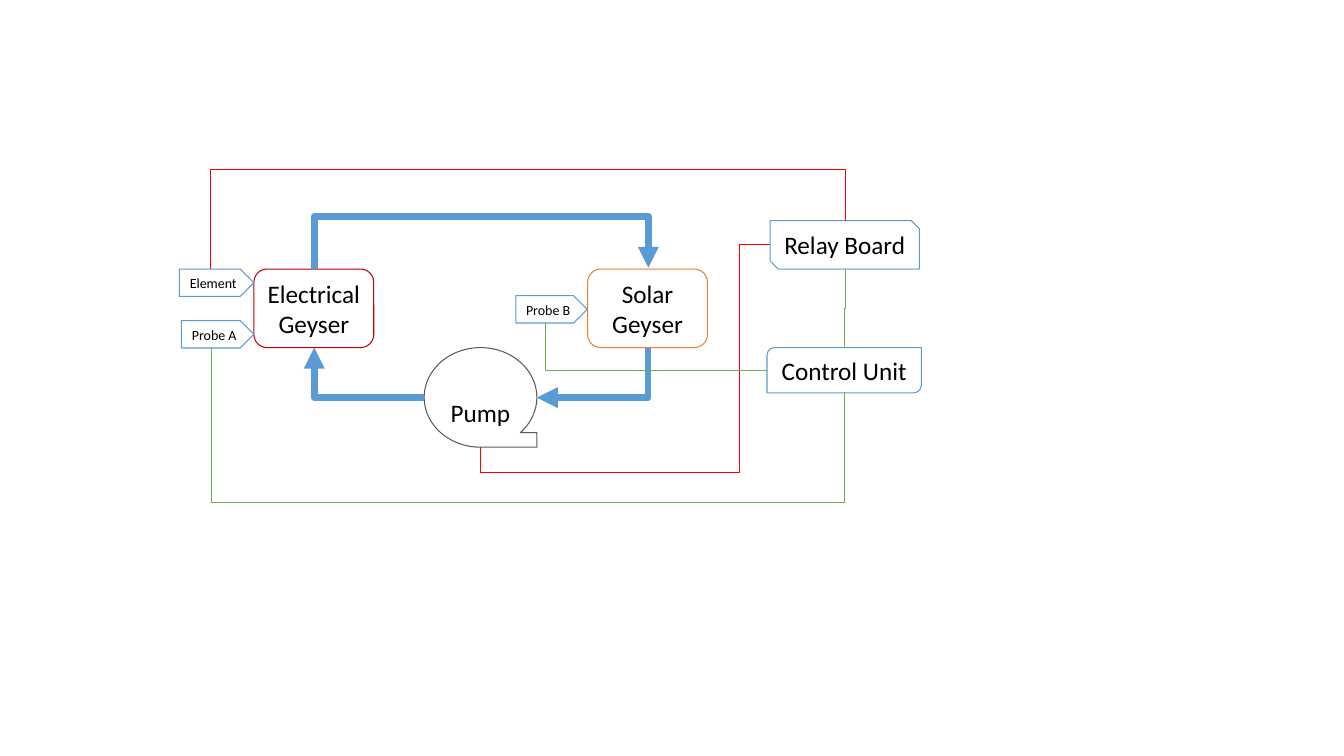
from dataclasses import dataclass

from lxml.etree import SubElement
from pptx import Presentation
from pptx.dml.color import RGBColor
from pptx.enum.shapes import MSO_CONNECTOR, MSO_SHAPE
from pptx.enum.text import MSO_ANCHOR, PP_ALIGN
from pptx.oxml.ns import qn
from pptx.util import Cm, Pt

Point = tuple[float, float]

BLUE, GREEN, RED = "5B9BD5", "70AD47", "FF0000"
FONT = "Calibri"


@dataclass
class Component:
    text: str
    geometry: MSO_SHAPE
    left: float
    top: float
    width: float
    height: float
    outline: str = BLUE
    size: int = 18
    wrap: bool = False
    text_drop: float = 0


@dataclass
class Route:
    points: list[Point]
    color: str
    weight: float = 0.5
    arrow: bool = False


def color_of(hex_color: str) -> RGBColor:
    return RGBColor.from_string(hex_color)


def draw_component(slide, part: Component) -> None:
    box = slide.shapes.add_shape(part.geometry, Cm(part.left), Cm(part.top),
                                 Cm(part.width), Cm(part.height))
    box.shadow.inherit = False
    box.fill.background()
    box.line.color.rgb = color_of(part.outline)
    box.line.width = Pt(0.75)
    frame = box.text_frame
    frame.text = part.text
    frame.word_wrap = part.wrap
    frame.vertical_anchor = MSO_ANCHOR.MIDDLE
    frame.margin_top = Cm(0.13 + part.text_drop)
    label = frame.paragraphs[0]
    label.alignment = PP_ALIGN.CENTER
    label.font.name = FONT
    label.font.size = Pt(part.size)
    label.font.color.rgb = color_of("000000")


def draw_route(slide, route: Route) -> None:
    (x1, y1), *bends, (x2, y2) = route.points
    vertical_start = bends[0][0] == x1

    def unrotate(dx: float, dy: float) -> Point:
        return (dy, -dx) if vertical_start else (-dx, -dy)

    span = unrotate(x2 - x1, y2 - y1)
    mid_x, mid_y = (x1 + x2) / 2, (y1 + y2) / 2
    line = slide.shapes.add_connector(
        MSO_CONNECTOR.ELBOW,
        Cm(mid_x - span[0] / 2), Cm(mid_y - span[1] / 2),
        Cm(mid_x + span[0] / 2), Cm(mid_y + span[1] / 2))
    line.line.color.rgb = color_of(route.color)
    line.line.width = Pt(route.weight)

    properties = line._element.spPr
    properties.find(qn("a:xfrm")).set("rot", "5400000" if vertical_start else "10800000")
    geometry = properties.find(qn("a:prstGeom"))
    geometry.set("prst", f"bentConnector{len(bends) + 1}")
    adjustments = geometry.find(qn("a:avLst"))
    for index, (x, y) in enumerate(bends[:-1]):
        axis = index % 2
        ratio = unrotate(x - x1, y - y1)[axis] / span[axis]
        SubElement(adjustments, qn("a:gd"), name=f"adj{index + 1}",
                   fmla=f"val {round(ratio * 100000)}")
    if route.arrow:
        SubElement(properties.find(qn("a:ln")), qn("a:tailEnd"), type="triangle")
    SubElement(properties, qn("a:effectLst"))


COMPONENTS = [
    Component("Electrical\vGeyser", MSO_SHAPE.ROUNDED_RECTANGLE,
              6.4, 6.78, 3.02, 1.98, "C00000"),
    Component("Solar\vGeyser", MSO_SHAPE.ROUNDED_RECTANGLE,
              14.81, 6.78, 3.02, 1.98, "ED7D31", wrap=True),
    Component("Pump", MSO_SHAPE.FLOWCHART_SEQUENTIAL_ACCESS_STORAGE,
              10.69, 8.76, 2.84, 2.51, "595959", text_drop=0.76),
    Component("Probe B", MSO_SHAPE.PENTAGON, 13, 7.45, 1.8, 0.69, size=10),
    Component("Element", MSO_SHAPE.PENTAGON, 4.52, 6.78, 1.88, 0.69, size=10),
    Component("Probe A", MSO_SHAPE.PENTAGON, 4.57, 8.08, 1.83, 0.69, size=10),
    Component("Control Unit", MSO_SHAPE.ROUND_2_DIAG_RECTANGLE, 19.33, 8.76, 3.89, 1.14),
    Component("Relay Board", MSO_SHAPE.SNIP_2_DIAG_RECTANGLE, 19.41, 5.56, 3.76, 1.22),
]

WATER_PIPES = [
    Route([(16.33, 8.76), (16.33, 10.02), (13.53, 10.02)], BLUE, 5, True),
    Route([(10.69, 10.02), (7.92, 10.02), (7.92, 8.76)], BLUE, 5, True),
    Route([(7.92, 6.78), (7.92, 5.46), (16.34, 5.46), (16.34, 6.75)], BLUE, 5, True),
]

WIRES = [
    Route([(5.29, 6.78), (5.29, 4.27), (21.3, 4.27), (21.3, 5.56)], RED),
    Route([(21.28, 9.89), (21.28, 12.65), (5.32, 12.65), (5.32, 8.76)], GREEN),
    Route([(19.41, 6.17), (18.64, 6.17), (18.64, 11.91), (12.11, 11.91), (12.11, 11.27)], RED),
    Route([(19.33, 9.33), (13.75, 9.33), (13.75, 8.14)], GREEN),
    Route([(21.3, 6.78), (21.3, 7.77), (21.28, 7.77), (21.28, 8.76)], GREEN),
]

presentation = Presentation()
presentation.slide_width, presentation.slide_height = Cm(33.87), Cm(19.05)
diagram = presentation.slides.add_slide(presentation.slide_layouts[6])
for component in COMPONENTS:
    draw_component(diagram, component)
for connection in WATER_PIPES + WIRES:
    draw_route(diagram, connection)
presentation.save("out.pptx")
